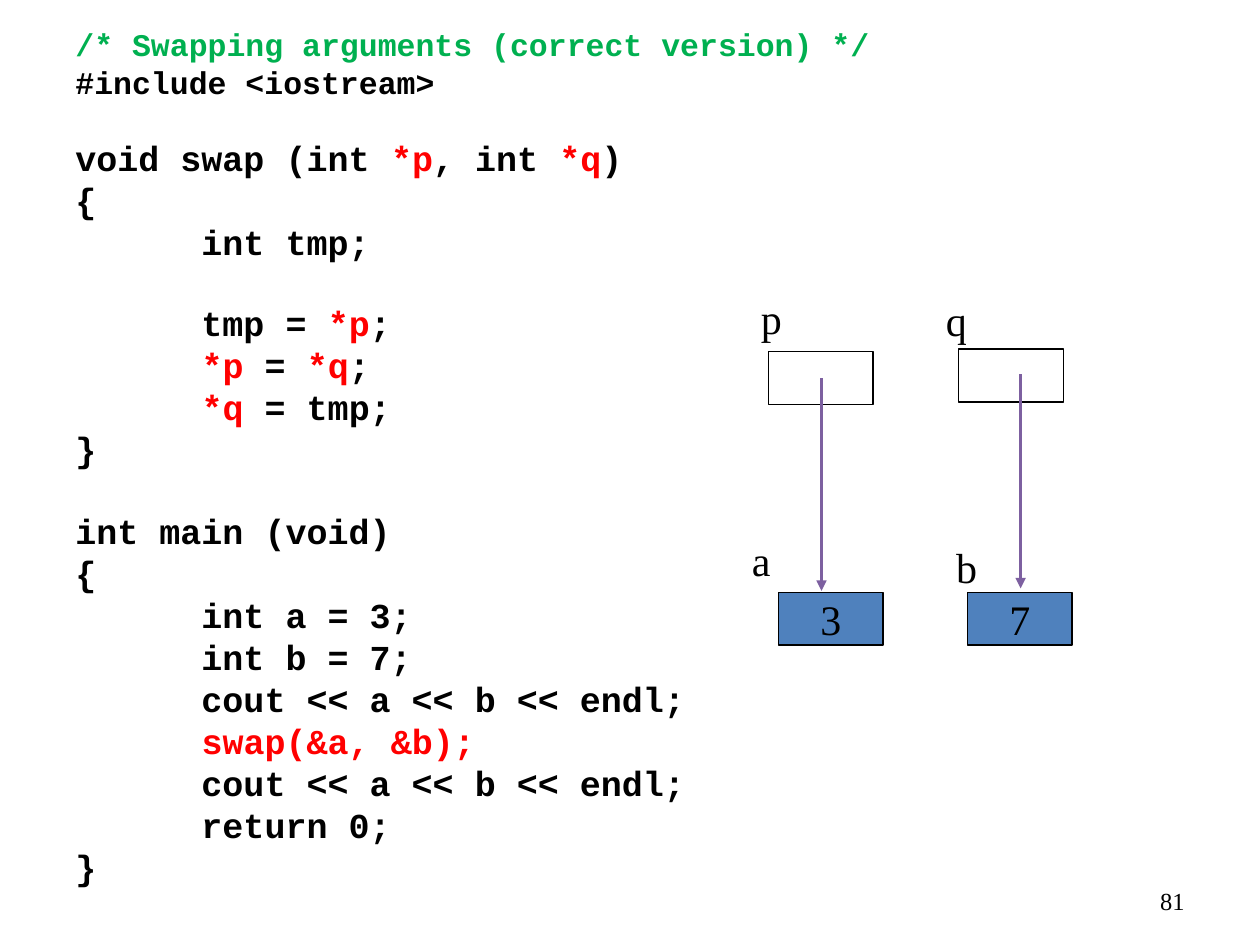
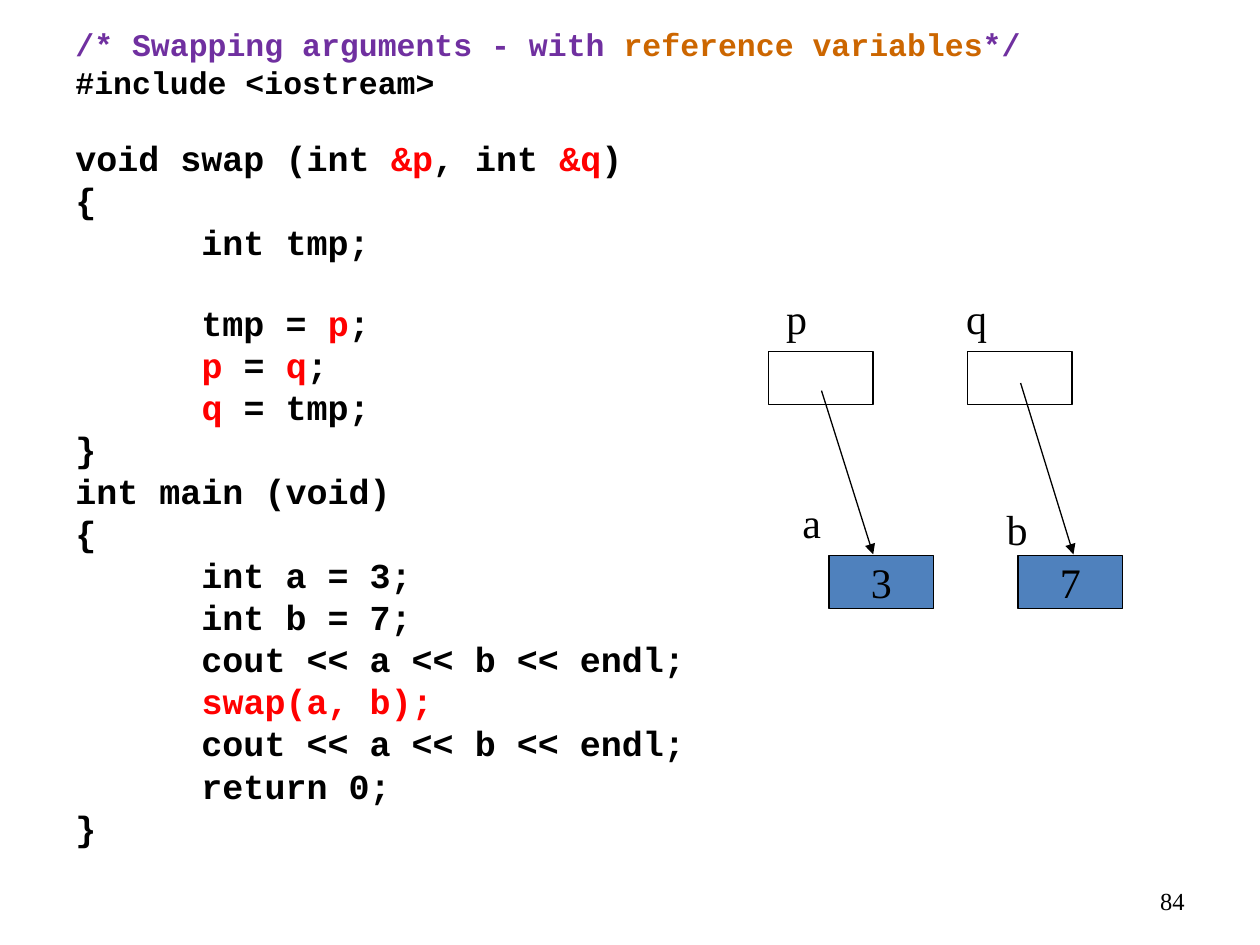
from dataclasses import dataclass
from lxml import etree
from pptx import Presentation
from pptx.dml.color import RGBColor as Color
from pptx.enum.shapes import MSO_CONNECTOR as Connector, MSO_SHAPE as Shape
from pptx.enum.text import MSO_ANCHOR as Anchor, PP_ALIGN as Align
from pptx.oxml.ns import qn
from pptx.util import Inches, Pt


@dataclass(frozen=True)
class Theme:
    black: str = "000000"
    red: str = "FF0000"
    green: str = "00B050"
    purple: str = "7030A0"
    orange: str = "CC6600"
    violet: str = "7D60A0"
    blue: str = "4F81BD"
    code_font: str = "Courier New"
    label_font: str = "Times New Roman"
    header_size: int = 18
    code_size: int = 20
    label_size: int = 24
    number_size: int = 14
    line_height: float = 1.13
    outline: float = 0.75


theme = Theme()
CODE = {"name": theme.code_font, "size": Pt(theme.code_size), "bold": True}
HEADER = {**CODE, "size": Pt(theme.header_size)}
LABEL = {"name": theme.label_font, "size": Pt(theme.label_size)}
NUMBER = {**LABEL, "size": Pt(theme.number_size)}

# Text between bars is red; an empty line becomes space above the next one
LISTING = """#include <iostream>

void swap (int |{sign}p|, int |{sign}q|)
{{
      int tmp;

      tmp = |{deref}p|;
      |{deref}p| = |{deref}q|;
      |{deref}q| = tmp;
}}{gap}
int main (void)
{{
      int a = 3;
      int b = 7;
      cout << a << b << endl;
      |swap({address}a, {address}b);|
      cout << a << b << endl;
      return 0;
}}"""

BOX_WIDTH, BOX_HEIGHT = 0.83, 0.42
PAGES = [
    {
        "number": "81",
        "comment": [("/* Swapping arguments (correct version) */", theme.green)],
        "marks": {"sign": "*", "deref": "*", "address": "&", "gap": "\n"},
        "pointers": [(6.1, 2.79), (7.61, 2.77)],
        "values": [("3", 6.18, 4.7), ("7", 7.68, 4.7)],
        "labels": [("p", 5.94, 2.27), ("q", 7.41, 2.29),
                   ("a", 5.87, 4.19), ("b", 7.49, 4.25)],
        "arrows": [(6.52, 3, 6.52, 4.69), (8.1, 2.97, 8.1, 4.67)],
        "arrow_style": (theme.violet, 1.5),
    },
    {
        "number": "84",
        "comment": [("/* Swapping arguments - with ", theme.purple),
                    ("reference variables", theme.orange), ("*/", theme.purple)],
        "marks": {"sign": "&", "deref": "", "address": "", "gap": ""},
        "pointers": [(6.1, 2.79), (7.68, 2.79)],
        "values": [("3", 6.58, 4.41), ("7", 8.08, 4.41)],
        "labels": [("p", 6.14, 2.27), ("q", 7.57, 2.27),
                   ("a", 6.27, 3.89), ("b", 7.89, 3.95)],
        "arrows": [(6.52, 3.1, 6.93, 4.4), (8.1, 3.04, 8.52, 4.4)],
        "arrow_style": (theme.black, theme.outline),
    },
]


def write_spans(para, spans, text_format):
    for text, color in spans:
        span = para.add_run()
        span.text = text
        for name, value in text_format.items():
            setattr(span.font, name, value)
        span.font.color.rgb = Color.from_string(color)


def add_rectangle(page, left, top):
    box = page.shapes.add_shape(Shape.RECTANGLE, Inches(left), Inches(top),
                                Inches(BOX_WIDTH), Inches(BOX_HEIGHT))
    box.shadow.inherit = False
    box.fill.background()
    box.line.color.rgb = Color.from_string(theme.black)
    box.line.width = Pt(theme.outline)
    return box


deck = Presentation()
deck.slide_width, deck.slide_height = Inches(10), Inches(7.5)

for content in PAGES:
    page = deck.slides.add_slide(deck.slide_layouts[6])

    # Page number
    box = page.shapes.add_textbox(Inches(7.17), Inches(6.95), Inches(2.33), Inches(0.4))
    box.text_frame.word_wrap = True
    box.text_frame.vertical_anchor = Anchor.MIDDLE
    para = box.text_frame.paragraphs[0]
    para.alignment = Align.RIGHT
    write_spans(para, [(content["number"], theme.black)], NUMBER)

    # Code: comment line, then the listing
    box = page.shapes.add_textbox(Inches(0.5), Inches(0.15), Inches(8.33), Inches(7.2))
    box.text_frame.word_wrap = True
    write_spans(box.text_frame.paragraphs[0], content["comment"], HEADER)
    text_format, gap = HEADER, None
    for line in LISTING.format(**content["marks"]).split("\n"):
        if not line:
            gap = Pt(text_format["size"].pt * theme.line_height)
            text_format = CODE
            continue
        para = box.text_frame.add_paragraph()
        if gap:
            para.space_before, gap = gap, None
        spans = [(text, theme.red if index % 2 else theme.black)
                 for index, text in enumerate(line.split("|")) if text]
        write_spans(para, spans, text_format)

    # Pointer and value boxes
    for left, top in content["pointers"]:
        add_rectangle(page, left, top)
    for value, left, top in content["values"]:
        box = add_rectangle(page, left, top)
        box.fill.solid()
        box.fill.fore_color.rgb = Color.from_string(theme.blue)
        box.text_frame.word_wrap = False
        box.text_frame.vertical_anchor = Anchor.MIDDLE
        para = box.text_frame.paragraphs[0]
        para.alignment = Align.CENTER
        write_spans(para, [(value, theme.black)], LABEL)

    # Variable names
    for name, left, top in content["labels"]:
        box = page.shapes.add_textbox(Inches(left), Inches(top), Inches(0.36), Inches(0.5))
        box.text_frame.word_wrap = False
        write_spans(box.text_frame.paragraphs[0], [(name, theme.black)], LABEL)

    # Arrows from pointers to values
    color, width = content["arrow_style"]
    for ends in content["arrows"]:
        arrow = page.shapes.add_connector(Connector.STRAIGHT, *map(Inches, ends))
        arrow.line.color.rgb = Color.from_string(color)
        arrow.line.width = Pt(width)
        etree.SubElement(arrow.line._get_or_add_ln(), qn("a:tailEnd"), type="triangle")
        etree.SubElement(arrow._element.spPr, qn("a:effectLst"))

deck.save("out.pptx")
